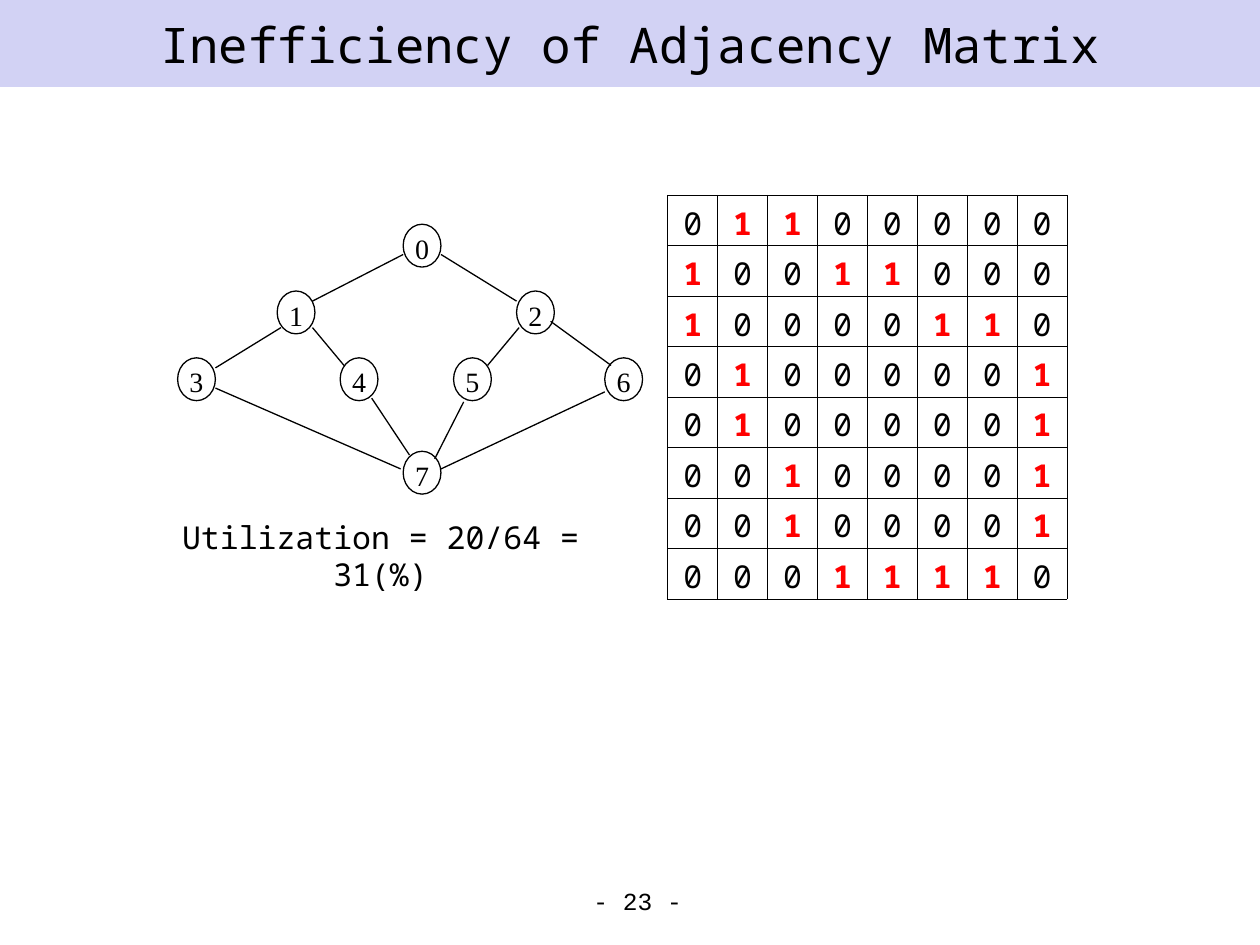
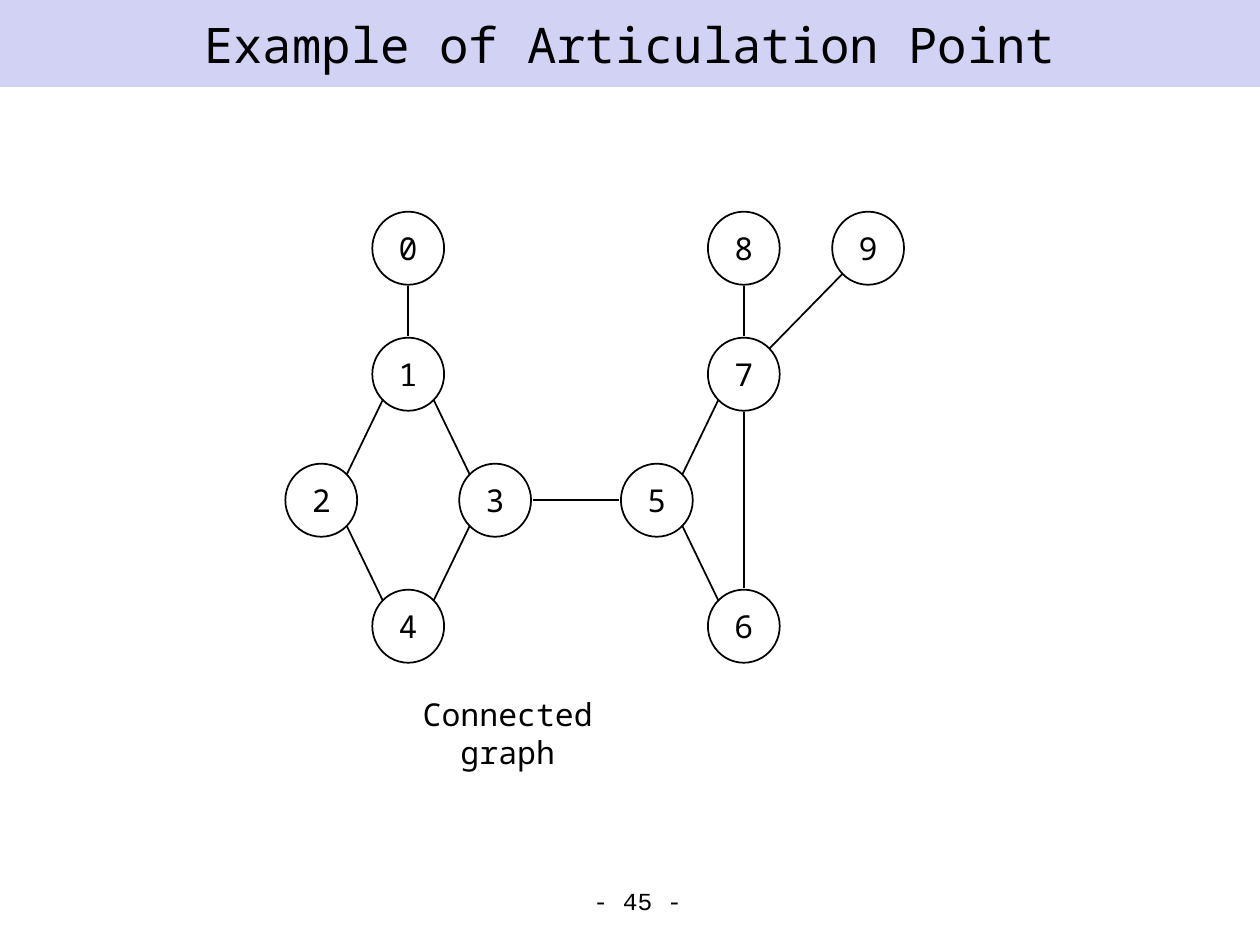
from lxml import etree
from pptx import Presentation
from pptx import util as u
from pptx.dml.color import RGBColor
from pptx.enum import shapes, text
from pptx.oxml.ns import qn

WIDTH, HEIGHT = 10, 7.5
BLACK, WHITE, RED, BAND = "000000", "FFFFFF", "FF0000", "D2D2F4"
MONO, COURIER, TIMES = "Noto Sans Mono", "Courier New", "Times New Roman"
CENTER, RIGHT = text.PP_ALIGN.CENTER, text.PP_ALIGN.RIGHT
MIDDLE = text.MSO_ANCHOR.MIDDLE

# Where an edge may touch a large round node, from the node's centre
REACH, DIAGONAL = 0.3, 0.2
SITES = {
    "N": (0, -REACH), "S": (0, REACH), "E": (REACH, 0), "W": (-REACH, 0),
    "NE": (DIAGONAL, -DIAGONAL), "NW": (-DIAGONAL, -DIAGONAL),
    "SE": (DIAGONAL, DIAGONAL), "SW": (-DIAGONAL, DIAGONAL),
}

TREE = {
    # origin: centre of column 0, row 0; step: column and row spacing
    "origin": (1.35, 1.95), "step": (0.1, 0.53), "size": (0.3, 0.34),
    "fill": WHITE, "weight": 0.75, "drop": 0.04,
    "font": {"name": TIMES, "size": u.Pt(16)},
    "nodes": {0: (20, 0), 1: (10, 1), 2: (29, 1), 3: (2.1, 2),
              4: (15, 2), 5: (24, 2), 6: (36, 2), 7: (20, 3.4)},
    "edges": [
        (0, (-0.15, 0.07), 1, (0.13, -0.09)),
        (0, (0.15, 0.07), 2, (-0.15, -0.09)),
        (1, (-0.12, 0.12), 3, (0.15, -0.09)),
        (1, (0.13, 0.12), 4, (-0.12, -0.11)),
        (2, (-0.13, 0.12), 5, (0.12, -0.11)),
        (2, (0.12, 0.07), 6, (-0.1, -0.11)),
        (3, (0.15, 0.07), 7, (-0.17, -0.03)),
        (4, (0.1, 0.15), 7, (-0.1, -0.14)),
        (5, (-0.07, 0.18), 7, (0.1, -0.11)),
        (6, (-0.15, 0.1), 7, (0.15, -0.03)),
    ],
}

CONNECTED = {
    "origin": (2.55, 1.97), "step": (0.69, 1), "size": (0.57, 0.58),
    "fill": None, "weight": 1, "drop": 0,
    "font": {"name": MONO, "size": u.Pt(18)},
    "nodes": {0: (1, 0), 1: (1, 1), 2: (0, 2), 3: (2, 2), 4: (1, 3),
              5: (3.86, 2), 6: (4.86, 3), 7: (4.86, 1), 8: (4.86, 0),
              9: (6.29, 0)},
    "edges": [(a, SITES[start], b, SITES[end]) for a, start, b, end in (
        (0, "S", 1, "N"), (1, "SW", 2, "NE"), (1, "SE", 3, "NW"),
        (2, "SE", 4, "NW"), (3, "SW", 4, "NE"), (3, "E", 5, "W"),
        (7, "SW", 5, "NE"), (5, "SE", 6, "NW"), (7, "S", 6, "N"),
        (8, "S", 7, "N"), (9, "SW", 7, "NE"))],
}


def rgb(value):
    return RGBColor.from_string(value)


def inches(*values):
    return [u.Inches(v) for v in values]


def put_text(tf, words, font, align=CENTER, color=BLACK):
    p = tf.paragraphs[0]
    p.alignment = align
    r = p.add_run()
    r.text = words
    for name, value in font.items():
        setattr(r.font, name, value)
    r.font.color.rgb = rgb(color)


def add_label(s, box, words, font, align=CENTER):
    tf = s.shapes.add_textbox(*inches(*box)).text_frame
    tf.word_wrap = True
    put_text(tf, words, font, align)


def add_slide(prs, title, number):
    s = prs.slides.add_slide(prs.slide_layouts[5])
    band = s.shapes.title
    band.left, band.top, band.width, band.height = inches(0, 0, WIDTH, 0.69)
    band.fill.solid()
    band.fill.fore_color.rgb = rgb(BAND)
    tf = band.text_frame
    tf.auto_size = text.MSO_AUTO_SIZE.NONE
    tf.vertical_anchor = MIDDLE
    put_text(tf, title, {"name": MONO, "size": u.Pt(28)})
    add_label(s, (3.43, 6.98, 2.08, 0.31), f"- {number} -",
              {"name": COURIER, "size": u.Pt(14)}, RIGHT)
    return s


def add_node(s, center, number, graph):
    (x, y), (w, h) = center, graph["size"]
    sp = s.shapes.add_shape(shapes.MSO_SHAPE.OVAL,
                            *inches(x - w / 2, y - h / 2, w, h))
    sp.shadow.inherit = False
    if graph["fill"]:
        sp.fill.solid()
        sp.fill.fore_color.rgb = rgb(graph["fill"])
    else:
        sp.fill.background()
    sp.line.color.rgb = rgb(BLACK)
    sp.line.width = u.Pt(graph["weight"])
    tf = sp.text_frame
    margins = {"left": 0, "right": 0, "top": graph["drop"], "bottom": 0}
    for side, value in margins.items():
        setattr(tf, f"margin_{side}", u.Inches(value))
    tf.word_wrap = False
    tf.vertical_anchor = MIDDLE
    put_text(tf, str(number), graph["font"])


def add_edge(s, start, end, weight):
    line = s.shapes.add_connector(shapes.MSO_CONNECTOR.STRAIGHT,
                                  *inches(*start, *end))
    line.line.color.rgb = rgb(BLACK)
    line.line.width = u.Pt(weight)
    etree.SubElement(line._element.spPr, qn("a:effectLst"))


def draw_graph(s, graph):
    (left, top), (dx, dy) = graph["origin"], graph["step"]
    centers = {n: (left + col * dx, top + row * dy)
               for n, (col, row) in graph["nodes"].items()}
    for number, center in centers.items():
        add_node(s, center, number, graph)
    for a, start, b, end in graph["edges"]:
        points = [(centers[n][0] + off[0], centers[n][1] + off[1])
                  for n, off in ((a, start), (b, end))]
        add_edge(s, *points, graph["weight"])


def border_cell(cell):
    tc_pr = cell._tc.get_or_add_tcPr()
    for i, side in enumerate(("lnL", "lnR", "lnT", "lnB")):
        ln = etree.Element(qn(f"a:{side}"), w=str(u.Pt(0.5)))
        fill = etree.SubElement(ln, qn("a:solidFill"))
        etree.SubElement(fill, qn("a:srgbClr"), val=BLACK)
        tc_pr.insert(i, ln)


def draw_matrix(s, box, graph):
    """Adjacency table of the graph, with its ones in bold red."""
    n = len(graph["nodes"])
    linked = {pair for a, _, b, _ in graph["edges"] for pair in ((a, b), (b, a))}
    table = s.shapes.add_table(n, n, *inches(*box)).table
    for i in range(n):
        table.columns[i].width = u.Inches(box[2] / n)
        table.rows[i].height = u.Inches(box[3] / n)
        for j in range(n):
            cell, one = table.cell(i, j), (i, j) in linked
            cell.fill.solid()
            cell.fill.fore_color.rgb = rgb(WHITE)
            border_cell(cell)
            put_text(cell.text_frame, str(int(one)),
                     {"name": MONO, "size": u.Pt(18), "bold": one},
                     color=RED if one else BLACK)


def matrix_slide(prs):
    s = add_slide(prs, "Inefficiency of Adjacency Matrix", 23)
    draw_graph(s, TREE)
    draw_matrix(s, (5.3, 1.55, 3.17, 3.2), TREE)
    add_label(s, (1.22, 4.06, 3.6, 0.7), "Utilization = 20/64 = 31(%)",
              {"name": MONO, "size": u.Pt(18)})


def articulation_slide(prs):
    s = add_slide(prs, "Example of Articulation Point", 45)
    draw_graph(s, CONNECTED)
    add_label(s, (3.08, 5.47, 1.9, 0.7), "Connected graph",
              {"name": MONO, "size": u.Pt(18)})


def main():
    prs = Presentation()
    prs.slide_width, prs.slide_height = inches(WIDTH, HEIGHT)
    matrix_slide(prs)
    articulation_slide(prs)
    prs.save("out.pptx")


if __name__ == "__main__":
    main()
